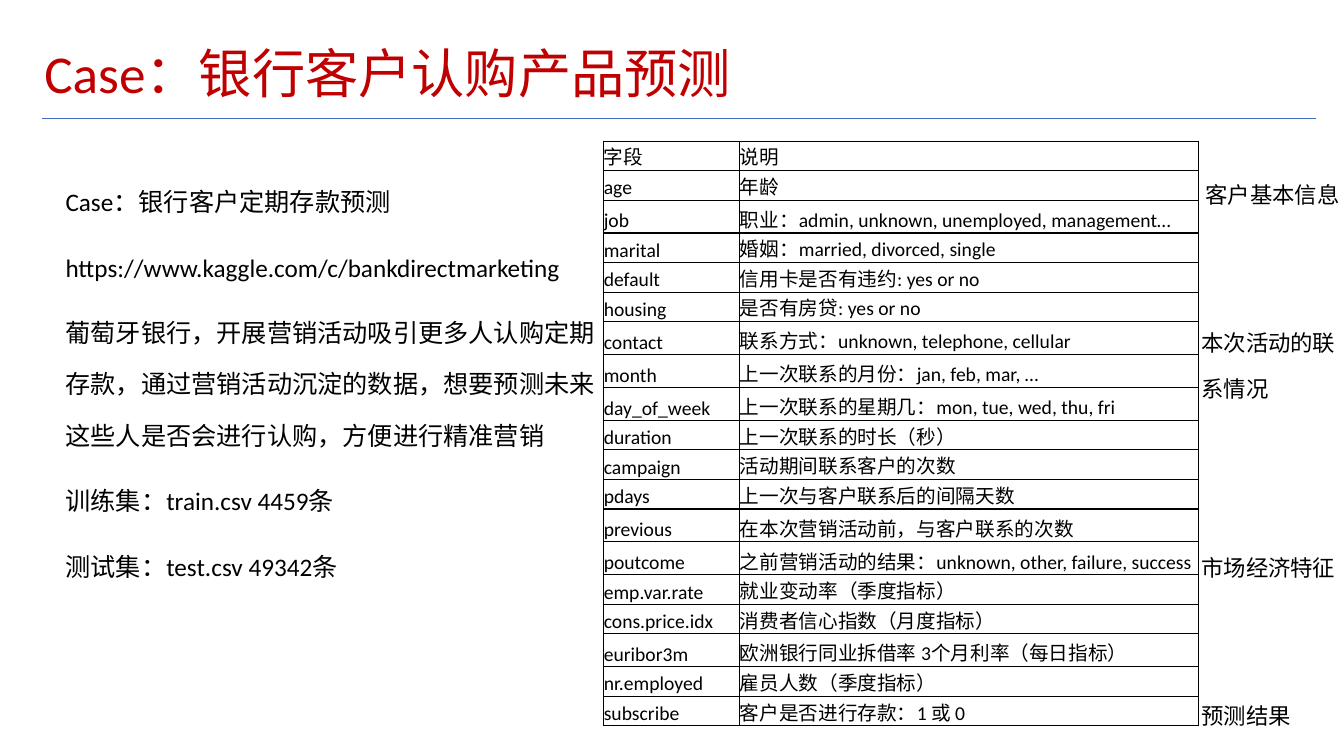
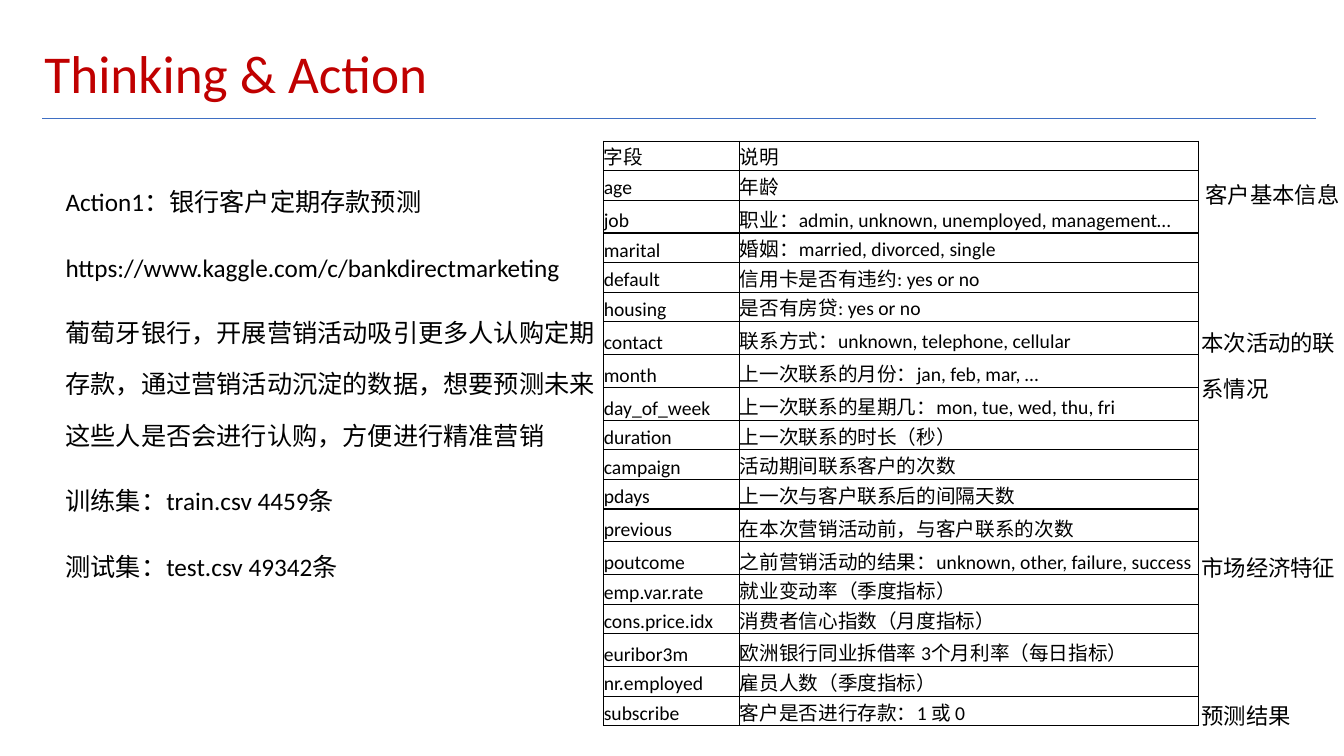
"""Build two slides that introduce a bank deposit subscription data set."""
from dataclasses import dataclass

from lxml import etree
from pptx import Presentation
from pptx.dml.color import RGBColor
from pptx.enum import shapes, text
from pptx.oxml import ns
from pptx.util import Pt


@dataclass(frozen=True)
class Theme:
    font: str = "Calibri"
    red: str = "C00000"
    black: str = "000000"
    blue: str = "3F6FC3"
    title: float = 38
    body: float = 18
    label: float = 16
    cell: float = 14
    inset: float = 3.6
    hairline: float = 0.75
    border: float = 1


theme = Theme()


def write(frame, lines, size, color=theme.black, align=None, spacing=1, before=0,
          margins=(theme.inset,) * 4, anchor=text.MSO_ANCHOR.TOP):
    frame.word_wrap = True
    frame.auto_size = text.MSO_AUTO_SIZE.NONE
    frame.vertical_anchor = anchor
    frame.margin_left, frame.margin_top, frame.margin_right, frame.margin_bottom = map(Pt, margins)
    for index, line in enumerate(lines):
        paragraph = frame.add_paragraph() if index else frame.paragraphs[0]
        properties = paragraph._p.get_or_add_pPr()
        properties.set("marL", "0")
        properties.set("indent", "0")
        etree.SubElement(properties, ns.qn("a:buNone"))
        paragraph.alignment = align
        paragraph.line_spacing = spacing
        paragraph.space_before = Pt(before if index else 0)
        run = paragraph.add_run()
        run.text = line
        run.font.name = theme.font
        run.font.size = Pt(size)
        run.font.color.rgb = RGBColor.from_string(color)


def outline(cell):
    properties = cell._tc.get_or_add_tcPr()
    for position, side in enumerate(("lnL", "lnR", "lnT", "lnB")):
        edge = etree.Element(ns.qn(f"a:{side}"), w=str(Pt(theme.border)))
        fill = etree.SubElement(edge, ns.qn("a:solidFill"))
        etree.SubElement(fill, ns.qn("a:srgbClr"), val=theme.black)
        properties.insert(position, edge)


topics = [
    ("Case：银行客户认购产品预测", "Case：银行客户定期存款预测"),
    ("Thinking & Action", "Action1：银行客户定期存款预测"),
]
background = [
    "https://www.kaggle.com/c/bankdirectmarketing",
    "葡萄牙银行，开展营销活动吸引更多人认购定期存款，通过营销活动沉淀的数据，想要预测未来这些人是否会进行认购，方便进行精准营销",
    "训练集：train.csv 4459条",
    "测试集：test.csv 49342条",
]
fields = [
    ("字段", "说明"),
    ("age", "年龄"),
    ("job", "职业：admin, unknown, unemployed, management…"),
    ("marital", "婚姻：married, divorced, single"),
    ("default", "信用卡是否有违约: yes or no"),
    ("housing", "是否有房贷: yes or no"),
    ("contact", "联系方式：unknown, telephone, cellular"),
    ("month", "上一次联系的月份：jan, feb, mar, …"),
    ("day_of_week", "上一次联系的星期几：mon, tue, wed, thu, fri"),
    ("duration", "上一次联系的时长（秒）"),
    ("campaign", "活动期间联系客户的次数"),
    ("pdays", "上一次与客户联系后的间隔天数"),
    ("previous", "在本次营销活动前，与客户联系的次数"),
    ("poutcome", "之前营销活动的结果：unknown, other, failure, success"),
    ("emp.var.rate", "就业变动率（季度指标）"),
    ("cons.price.idx", "消费者信心指数（月度指标）"),
    ("euribor3m", "欧洲银行同业拆借率 3个月利率（每日指标）"),
    ("nr.employed", "雇员人数（季度指标）"),
    ("subscribe", "客户是否进行存款：1 或 0"),
]
tall_fields = {"job", "contact", "month", "day_of_week", "previous", "poutcome", "euribor3m"}
row_heights = [23.5 if name in tall_fields else 21.1 for name, _ in fields]
column_widths = [97.2, 327.6]
groups = [
    ("客户基本信息", 857.5, 112.3),
    ("本次活动的联系情况", 854.6, 218.2),
    ("市场经济特征", 854.6, 378.7),
    ("预测结果", 854.6, 484.6),
]

deck = Presentation()
slide_width = 960
deck.slide_width, deck.slide_height = Pt(slide_width), Pt(540)

layout = deck.slide_layouts[1]
places = [(28.1, 28.8, 801.4, 51.1), (43.2, 114.5, 388.1, 388.8)]
for holder, place in zip(layout.placeholders, places):
    holder.left, holder.top, holder.width, holder.height = map(Pt, place)

for number, (heading, subject) in enumerate(topics):
    slide = deck.slides.add_slide(layout)
    if number == 0:
        rule = slide.shapes.add_connector(
            shapes.MSO_CONNECTOR.STRAIGHT, Pt(30.2), Pt(84.5), Pt(940.3), Pt(84.5))
        rule.line.color.rgb = RGBColor.from_string(theme.blue)
        rule.line.width = Pt(theme.hairline)
        etree.SubElement(rule.element.spPr, ns.qn("a:effectLst"))
        rule.element.nvCxnSpPr.cNvPr.set("id", "20")
        layout.shapes.element.append(rule.element)

    write(slide.shapes.title.text_frame, [heading], theme.title, color=theme.red,
          align=text.PP_ALIGN.JUSTIFY, spacing=0.9, anchor=text.MSO_ANCHOR.MIDDLE)
    write(slide.placeholders[1].text_frame, [subject, *background], theme.body,
          spacing=1.7, before=10)

    dictionary = slide.shapes.add_table(
        len(fields), len(column_widths), Pt(431.3), Pt(100.8),
        Pt(sum(column_widths)), Pt(sum(row_heights))).table
    dictionary.first_row = dictionary.horz_banding = False
    for column, width in zip(dictionary.columns, column_widths):
        column.width = Pt(width)
    for row, height, entry in zip(dictionary.rows, row_heights, fields):
        row.height = Pt(height)
        for cell, words in zip(row.cells, entry):
            write(cell.text_frame, [words], theme.cell)
            cell.margin_left = cell.margin_top = cell.margin_right = cell.margin_bottom = 0
            cell.vertical_anchor = text.MSO_ANCHOR.BOTTOM
            cell.fill.background()
            outline(cell)

    for group, left, top in groups:
        label = slide.shapes.add_textbox(Pt(left), Pt(top), Pt(slide_width - left), Pt(38.2))
        write(label.text_frame, [group], theme.label, spacing=1.7,
              margins=(theme.inset, theme.inset, 0, theme.inset))

deck.save("out.pptx")
